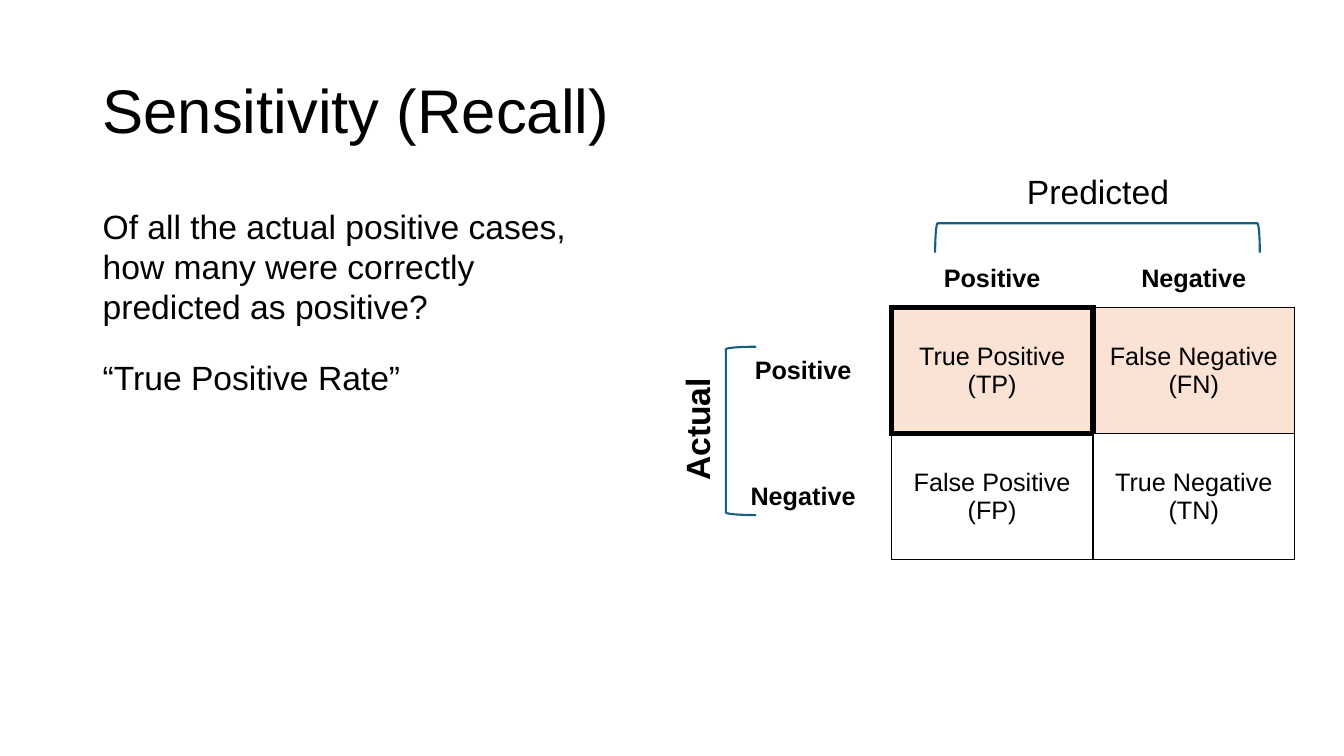
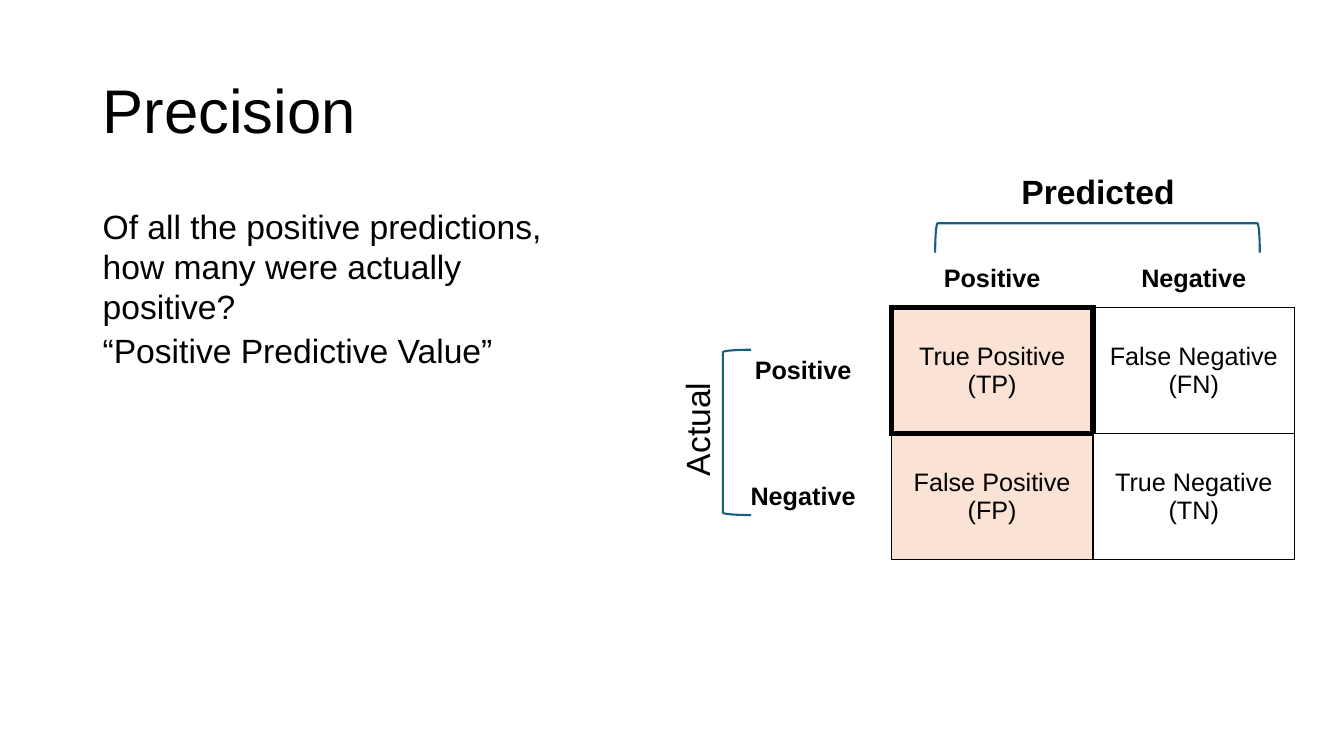
from pptx import Presentation
from pptx.dml.color import RGBColor
from pptx.enum.shapes import MSO_SHAPE as Shape
from pptx.enum.text import MSO_ANCHOR as Anchor, MSO_AUTO_SIZE as AutoSize, PP_ALIGN as Align
from pptx.oxml.ns import qn
from pptx.util import Emu, Pt
from lxml.etree import SubElement

PX = 9144
FONT = "Arial"
COLORS = {"text": "000000", "highlight": "FAE2D5", "bracket": "156082"}

MATRIX = [
    [[], ["Positive"], ["Negative"]],
    [["Positive"], ["True Positive", "(TP)"], ["False Negative (FN)"]],
    [["Negative"], ["False Positive (FP)"], ["True Negative (TN)"]],
]
COLUMN_WIDTHS = [175, 200, 200]
ROW_HEIGHTS = [57, 125, 125]
FOCUS_CELL = (1, 1)
THICK, THIN = 4.48, 0.96
SIDES = {"a:lnL": (0, -1), "a:lnR": (0, 1), "a:lnT": (-1, 0), "a:lnB": (1, 0)}

SLIDES = [
    {
        "title": "Sensitivity (Recall)",
        "body": [
            ("Of all the actual positive cases, how many were correctly predicted as positive?",
             (92, 199, 481, 130)),
            ("“True Positive Rate”", (92, 349, 481, 50)),
        ],
        "highlighted": {(1, 1), (1, 2)},
        "bold_axis": "Actual",
        "actual_bracket": (720, 344, 30, 167),
    },
    {
        "title": "Precision",
        "body": [
            ("Of all the positive predictions, how many were actually positive?",
             (92, 199, 506, 130)),
            ("“Positive Predictive Value”", (92, 322, 481, 50)),
        ],
        "highlighted": {(1, 1), (2, 1)},
        "bold_axis": "Predicted",
        "actual_bracket": (717, 347, 28, 164),
    },
]
AXES = [("Predicted", (973, 165, 232, 50), 0), ("Actual", (575, 401, 232, 50), 270)]
PREDICTED_BRACKET = (1074, 75, 29, 322)


def emu(lengths):
    return [Emu(length * PX) for length in lengths]


def add_run(paragraph, text, size, bold=False):
    run = paragraph.add_run()
    run.text = text
    run.font.name = FONT
    run.font.size = Pt(size)
    run.font.bold = bold
    run.font.color.rgb = RGBColor.from_string(COLORS["text"])


def add_text(slide, text, box, size=24, bold=False, align=Align.LEFT, rotation=0):
    shape = slide.shapes.add_textbox(*emu(box))
    shape.rotation = rotation
    frame = shape.text_frame
    frame.word_wrap = True
    frame.auto_size = AutoSize.SHAPE_TO_FIT_TEXT
    paragraph = frame.paragraphs[0]
    paragraph.alignment = align
    add_run(paragraph, text, size, bold)
    return frame


def add_title(slide, text):
    frame = add_text(slide, text, (92, 40, 1150, 145), 44)
    frame.auto_size = AutoSize.NONE
    frame.vertical_anchor = Anchor.MIDDLE
    frame.paragraphs[0].line_spacing = 0.9


def add_bracket(slide, box, rotation=0):
    shape = slide.shapes.add_shape(Shape.LEFT_BRACKET, *emu(box))
    shape.shadow.inherit = False
    shape.rotation = rotation
    shape.adjustments[0] = 0.083
    shape.fill.background()
    shape.line.color.rgb = RGBColor.from_string(COLORS["bracket"])
    shape.line.width = Pt(1.5)


def border_width(position, neighbour):
    pair = (position, neighbour)
    if FOCUS_CELL in pair:
        return THICK
    in_body = any(row in (1, 2) and column in (1, 2) for row, column in pair)
    return THIN if in_body else 0


def set_borders(cell, row, column):
    properties = cell._tc.get_or_add_tcPr()
    for tag, (down, right) in SIDES.items():
        width = border_width((row, column), (row + down, column + right))
        line = SubElement(properties, qn(tag), w=str(Pt(width)))
        if width:
            fill = SubElement(line, qn("a:solidFill"))
            SubElement(fill, qn("a:srgbClr"), val=COLORS["text"])
        else:
            SubElement(line, qn("a:noFill"))


def add_matrix(slide, highlighted):
    size = (sum(COLUMN_WIDTHS), sum(ROW_HEIGHTS))
    table = slide.shapes.add_table(3, 3, *emu((709, 248, *size))).table
    table.first_row = table.horz_banding = False
    for column, width in zip(table.columns, emu(COLUMN_WIDTHS)):
        column.width = width
    for row, height in zip(table.rows, emu(ROW_HEIGHTS)):
        row.height = height
    for i, texts in enumerate(MATRIX):
        for j, lines in enumerate(texts):
            cell = table.cell(i, j)
            cell.vertical_anchor = Anchor.MIDDLE
            set_borders(cell, i, j)
            if (i, j) in highlighted:
                cell.fill.solid()
                cell.fill.fore_color.rgb = RGBColor.from_string(COLORS["highlight"])
            else:
                cell.fill.background()
            frame = cell.text_frame
            for n, text in enumerate(lines):
                paragraph = frame.add_paragraph() if n else frame.paragraphs[0]
                paragraph.alignment = Align.CENTER
                add_run(paragraph, text, 18, bold=i == 0 or j == 0)


def build_slide(presentation, content):
    slide = presentation.slides.add_slide(presentation.slide_layouts[6])
    add_title(slide, content["title"])
    add_matrix(slide, content["highlighted"])
    for name, box, rotation in AXES:
        add_text(slide, name, box, bold=name == content["bold_axis"],
                 align=Align.CENTER, rotation=rotation)
    add_bracket(slide, PREDICTED_BRACKET, 90)
    add_bracket(slide, content["actual_bracket"])
    for text, box in content["body"]:
        add_text(slide, text, box)


def main():
    presentation = Presentation()
    presentation.slide_width, presentation.slide_height = emu((1333, 750))
    for content in SLIDES:
        build_slide(presentation, content)
    presentation.save("out.pptx")


if __name__ == "__main__":
    main()
